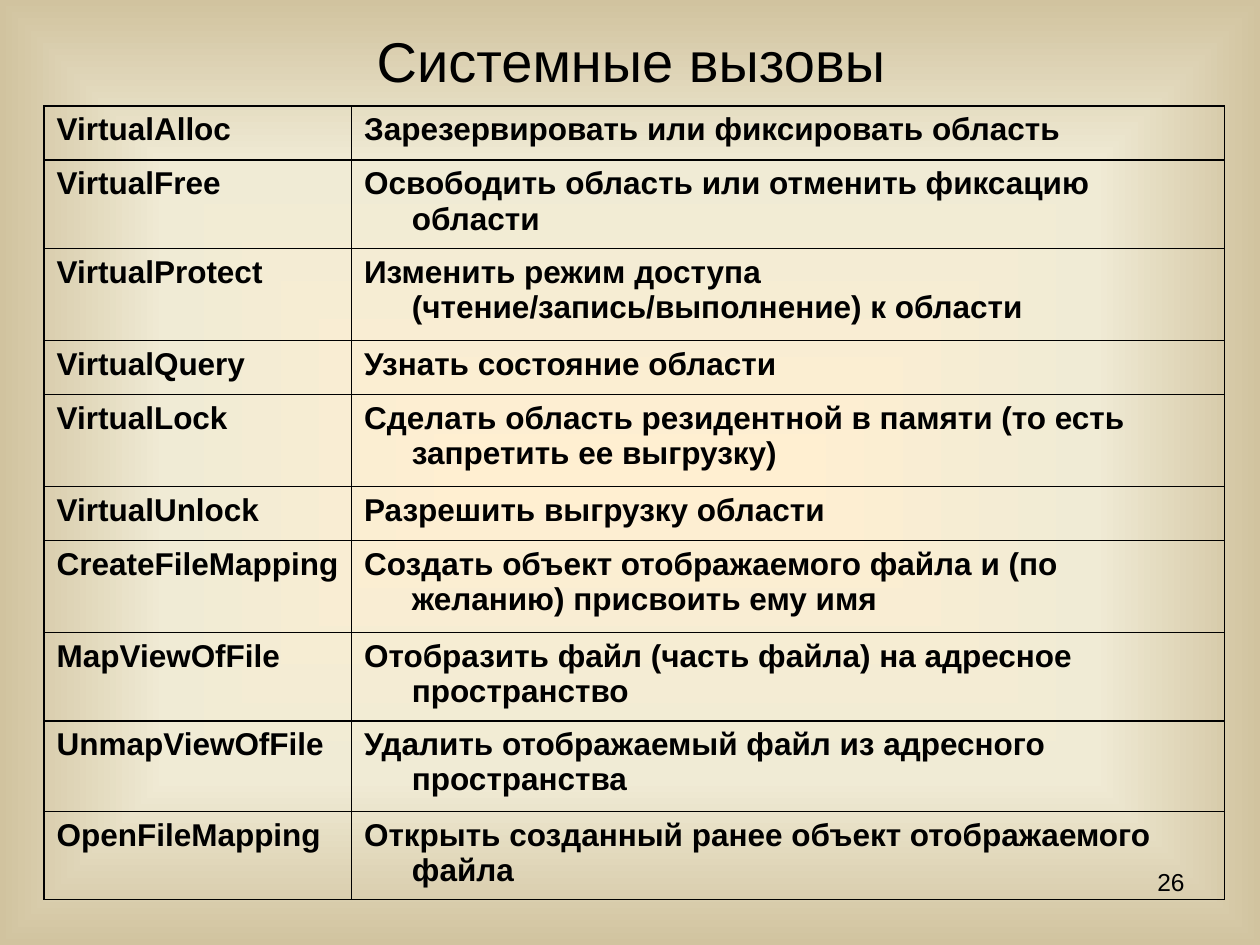
from dataclasses import dataclass

import pptx
import pptx.dml.color
import pptx.enum.text
import pptx.oxml
import pptx.oxml.ns
import pptx.slide
import pptx.text.text
import pptx.util
from pptx.util import Inches


@dataclass(frozen=True)
class Theme:
    font: str = "Arial"
    ink: str = "000000"
    title_size: int = 32
    table_size: int = 18
    number_size: int = 14
    border_width: int = 1
    # Background stops: percent from the centre outwards, colour
    background: tuple = ((0, "FFEFD1"), (65, "F0EBD5"), (100, "D1C39F"))


@dataclass(frozen=True)
class SystemCall:
    name: str
    purpose: str
    height: float


THEME = Theme()
COLUMN_WIDTHS = (2.44, 6.93)
SHORT, TALL = 0.43, 0.73
HANGING_INDENT = 0.38

CALLS = (
    SystemCall("VirtualAlloc", "Зарезервировать или фиксировать область", SHORT),
    SystemCall("VirtualFree", "Освободить область или отменить фиксацию области", SHORT),
    SystemCall("VirtualProtect",
               "Изменить режим доступа (чтение/запись/выполнение) к области", TALL),
    SystemCall("VirtualQuery", "Узнать состояние области", SHORT),
    SystemCall("VirtualLock",
               "Сделать область резидентной в памяти (то есть запретить ее выгрузку)", TALL),
    SystemCall("VirtualUnlock", "Разрешить выгрузку области", SHORT),
    SystemCall("CreateFileMapping",
               "Создать объект отображаемого файла и (по желанию) присвоить ему имя", TALL),
    SystemCall("MapViewOfFile", "Отобразить файл (часть файла) на адресное пространство", SHORT),
    SystemCall("UnmapViewOfFile", "Удалить отображаемый файл из адресного пространства", 0.72),
    SystemCall("OpenFileMapping", "Открыть созданный ранее объект отображаемого файла", SHORT),
)


def style(p: pptx.text.text._Paragraph, size: int, bold: bool = False) -> None:
    p.font.name = THEME.font
    p.font.size = pptx.util.Pt(size)
    p.font.bold = bold
    p.font.color.rgb = pptx.dml.color.RGBColor.from_string(THEME.ink)


def paint_background(slide: pptx.slide.Slide) -> None:
    """Fill the background with a gradient running from the centre."""
    slide.background.fill.gradient()
    old = next(slide.element.iter(pptx.oxml.ns.qn("a:gradFill")))
    stops = "".join(
        f'<a:gs pos="{pos * 1000}"><a:srgbClr val="{color}"/></a:gs>'
        for pos, color in THEME.background)
    gradient = pptx.oxml.parse_xml(
        f'<a:gradFill {pptx.oxml.ns.nsdecls("a")} rotWithShape="1">'
        f'<a:gsLst>{stops}</a:gsLst><a:path path="shape">'
        '<a:fillToRect l="50000" t="50000" r="50000" b="50000"/></a:path></a:gradFill>')
    old.getparent().replace(old, gradient)


def add_title(slide: pptx.slide.Slide, text: str) -> None:
    sp = slide.shapes.title
    sp.left, sp.top, sp.width, sp.height = map(Inches, (0.51, 0.21, 9, 0.54))
    tf = sp.text_frame
    tf.text = text
    tf.vertical_anchor = pptx.enum.text.MSO_ANCHOR.MIDDLE
    tf.auto_size = pptx.enum.text.MSO_AUTO_SIZE.NONE
    p = tf.paragraphs[0]
    p.alignment = pptx.enum.text.PP_ALIGN.CENTER
    style(p, THEME.title_size)


def add_slide_number(slide: pptx.slide.Slide, number: str) -> None:
    sp = slide.shapes.add_textbox(*map(Inches, (7.17, 6.83, 2.33, 0.52)))
    tf = sp.text_frame
    tf.word_wrap = True
    p = tf.paragraphs[0]
    p.text = number
    p.alignment = pptx.enum.text.PP_ALIGN.RIGHT
    style(p, THEME.number_size)


def fill_cell(cell: pptx.table._Cell, text: str) -> None:
    cell.text = text
    p = cell.text_frame.paragraphs[0]
    pPr = p._p.get_or_add_pPr()
    pPr.set("marL", str(Inches(HANGING_INDENT)))
    pPr.set("indent", str(-Inches(HANGING_INDENT)))
    style(p, THEME.table_size, bold=True)
    # Borders come before the fill in the cell properties
    tcPr = cell._tc.get_or_add_tcPr()
    for side in ("lnL", "lnR", "lnT", "lnB"):
        tcPr.append(pptx.oxml.parse_xml(
            f'<a:{side} {pptx.oxml.ns.nsdecls("a")} w="{pptx.util.Pt(THEME.border_width)}">'
            f'<a:solidFill><a:srgbClr val="{THEME.ink}"/></a:solidFill></a:{side}>'))
    cell.fill.background()


def add_call_table(slide: pptx.slide.Slide, calls: tuple[SystemCall, ...]) -> None:
    table = slide.shapes.add_table(
        len(calls), len(COLUMN_WIDTHS), Inches(0.35), Inches(0.84),
        Inches(sum(COLUMN_WIDTHS)), Inches(sum(c.height for c in calls))).table
    table.first_row = table.horz_banding = False
    for column, width in zip(table.columns, COLUMN_WIDTHS):
        column.width = Inches(width)
    for row, call in zip(table.rows, calls):
        row.height = Inches(call.height)
        for cell, text in zip(row.cells, (call.name, call.purpose)):
            fill_cell(cell, text)


def main() -> None:
    prs = pptx.Presentation()
    prs.slide_width, prs.slide_height = Inches(10), Inches(7.5)
    slide = prs.slides.add_slide(prs.slide_layouts.get_by_name("Title Only"))
    paint_background(slide)
    add_slide_number(slide, "26")
    add_title(slide, "Системные вызовы")
    add_call_table(slide, CALLS)
    prs.save("out.pptx")


if __name__ == "__main__":
    main()
